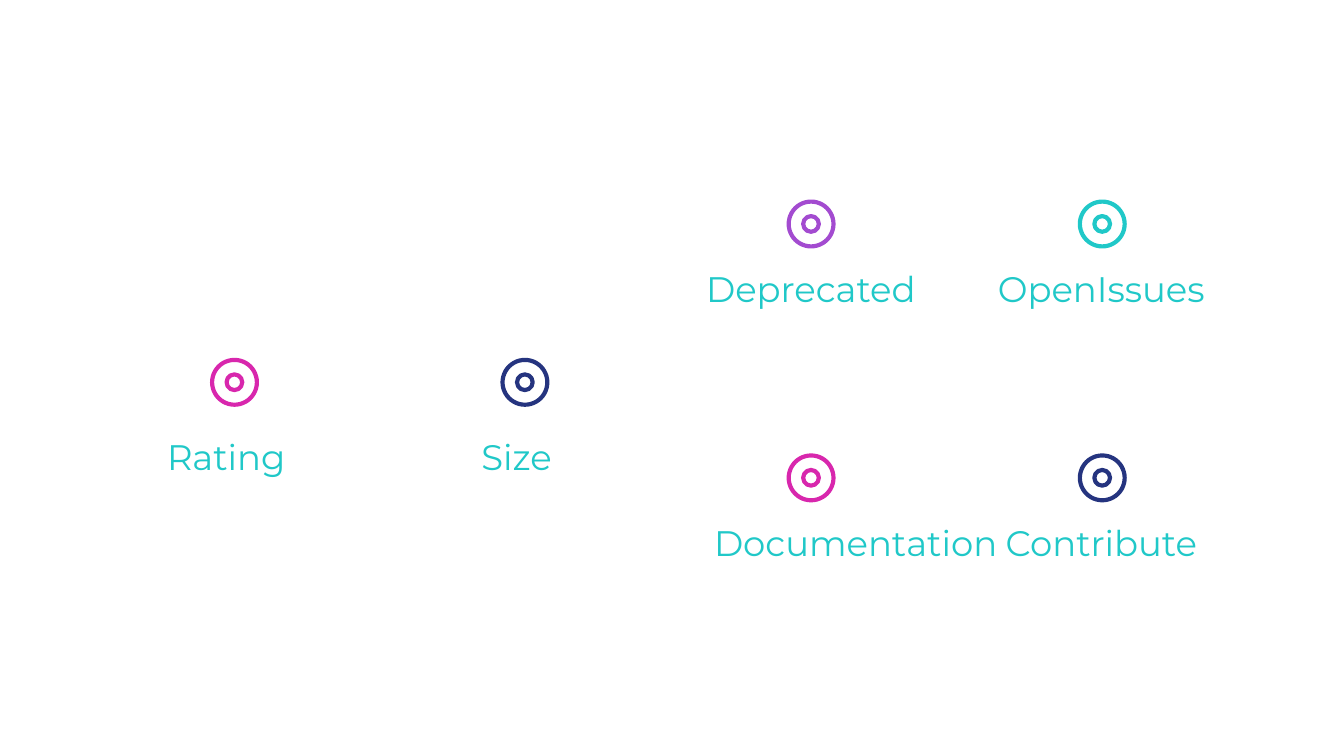
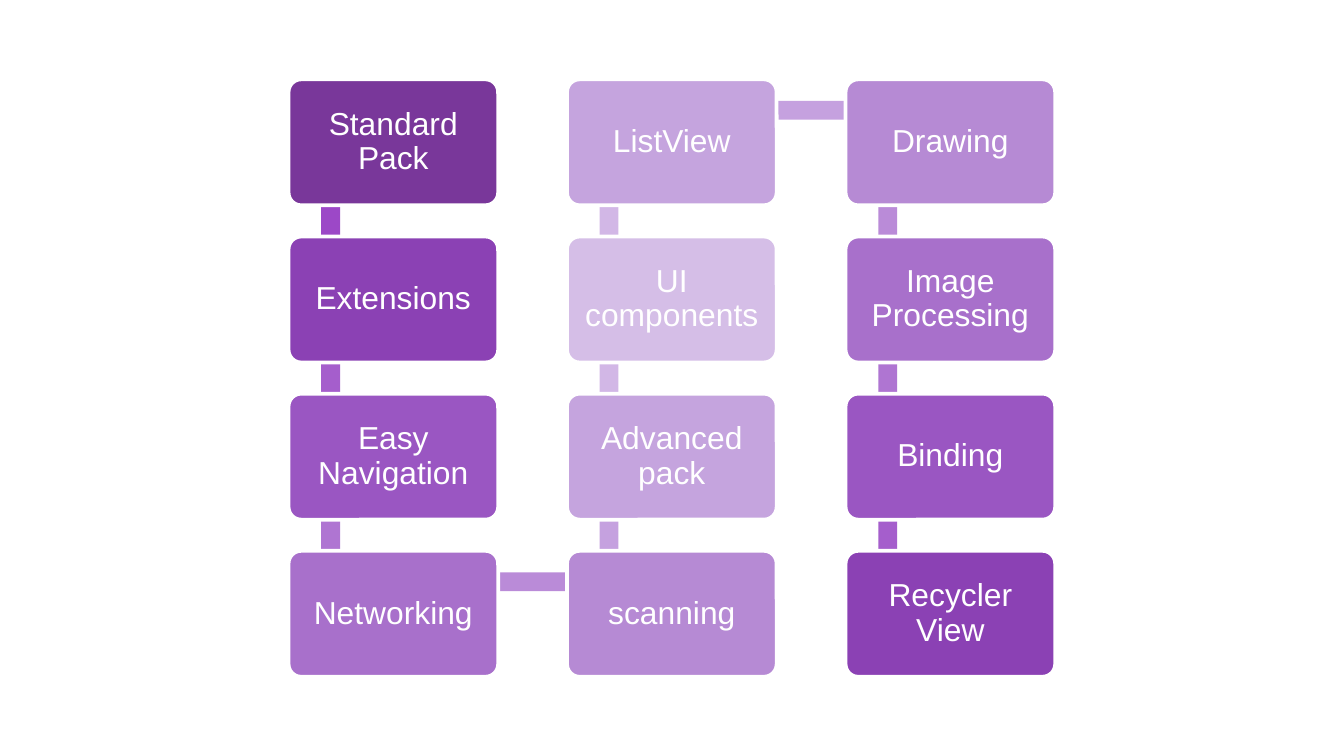
import pptx
import pptx.dml.color
import pptx.enum.shapes
import pptx.enum.text
import pptx.util

Pt = pptx.util.Pt
Shape = pptx.enum.shapes.MSO_SHAPE
Align = pptx.enum.text.PP_ALIGN
Anchor = pptx.enum.text.MSO_ANCHOR

WHITE = "FFFFFF"
TEAL = "20C8C8"
PURPLE = "A34BD0"
PINK = "D827AD"
NAVY = "25347F"

LABEL_FORMAT = {"line_spacing": 1.15, "space_after": Pt(16)}
LABEL_FONT = {"name": "Montserrat", "size": Pt(19)}
CARD_FORMAT = {"line_spacing": 0.9}
CARD_FONT = {"name": "Arial", "size": Pt(17)}

# text, ring colour, ring centre x and y, label left, top and width
TOPICS = [
    ("Documentation", PINK, 434.5, 256, 374.4, 275.8, 168),
    ("Contribute", NAVY, 590.5, 256, 530, 275.8, 120),
    ("Deprecated", PURPLE, 434.5, 120, 374.4, 139.8, 120),
    ("OpenIssues", TEAL, 590.5, 120, 530, 139.8, 120),
    ("Rating", PINK, 125.6, 204.8, 61.2, 229.7, 120),
    ("Size", NAVY, 281.2, 204.8, 216.8, 229.7, 120),
]

# text, card colour, colour of the link to the next card
STEPS = [
    ("Standard Pack", "79379A", "9C48C7"),
    ("Extensions", "8B41B4", "A55ECC"),
    ("Easy Navigation", "9A56C2", "AF75D2"),
    ("Networking", "A870CB", "BA8BD8"),
    ("scanning", "B68AD4", "C5A1DF"),
    ("Advanced pack", "C5A4DE", "D2B7E6"),
    ("UI components", "D5BEE7", "D2B7E6"),
    ("ListView", "C5A4DE", "C5A1DF"),
    ("Drawing", "B68AD4", "BA8BD8"),
    ("Image Processing", "A870CB", "AF75D2"),
    ("Binding", "9A56C2", "A55ECC"),
    ("Recycler View", "8B41B4", None),
]
ROWS = 4
GRID_LEFT, GRID_TOP = 154.6, 42.5
COLUMN_STEP, ROW_STEP = 149.2, 84.2
CARD_WIDTH, CARD_HEIGHT = 112.3, 67.5
LINK_THICKNESS = 10.1


def color(hex_string):
    return pptx.dml.color.RGBColor.from_string(hex_string)


def apply(target, values):
    for name, value in values.items():
        setattr(target, name, value)


def add_shape(shapes, kind, left, top, width, height, fill=None, line=None, weight=2):
    shape = shapes.add_shape(kind, Pt(left), Pt(top), Pt(width), Pt(height))
    shape.shadow.inherit = False
    if fill:
        shape.fill.solid()
        shape.fill.fore_color.rgb = color(fill)
    else:
        shape.fill.background()
    if line:
        shape.line.color.rgb = color(line)
        shape.line.width = Pt(weight)
    else:
        shape.line.fill.background()
    return shape


def write(shape, text, text_color, paragraph_format, font_format, inset, anchor):
    frame = shape.text_frame
    apply(frame, {"word_wrap": True, "vertical_anchor": anchor})
    for side in ("left", "top", "right", "bottom"):
        setattr(frame, f"margin_{side}", Pt(inset))
    paragraph = frame.paragraphs[0]
    paragraph.alignment = Align.CENTER
    apply(paragraph, paragraph_format)
    run = paragraph.add_run()
    run.text = text
    apply(run.font, font_format)
    run.font.color.rgb = color(text_color)


def add_label(slide, text, left, top, width):
    box = slide.shapes.add_textbox(Pt(left), Pt(top), Pt(width), Pt(28))
    write(box, text, TEAL, LABEL_FORMAT, LABEL_FONT, 0, Anchor.TOP)


def add_ring_marker(slide, center_x, center_y, ring_color):
    group = slide.shapes.add_group_shape()
    for size in (24, 8.4):
        add_shape(group.shapes, Shape.OVAL, center_x - size / 2, center_y - size / 2,
                  size, size, line=ring_color, weight=2.25)


def snake_cell(index):
    """Return column and row on a path that runs down, up, then down again."""
    column, row = divmod(index, ROWS)
    return column, row if column % 2 == 0 else ROWS - 1 - row


def card_corner(index):
    column, row = snake_cell(index)
    return GRID_LEFT + column * COLUMN_STEP, GRID_TOP + row * ROW_STEP


def add_link(slide, index, fill):
    """Draw the bar from one card to the next; the cards cover its ends."""
    left, top = card_corner(index)
    next_left, next_top = card_corner(index + 1)
    if left == next_left:
        length, rotation = 83.5, 90 if next_top > top else 270
        center_x, center_y = left + 22.5, min(top, next_top) + 59
    else:
        length, rotation = 148.3, 0
        center_x, center_y = left + 97.3, top + 16.6
    bar = add_shape(slide.shapes, Shape.RECTANGLE, center_x - length / 2,
                    center_y - LINK_THICKNESS / 2, length, LINK_THICKNESS, fill)
    bar.rotation = rotation


def add_card(slide, index, text, fill):
    left, top = card_corner(index)
    card = add_shape(slide.shapes, Shape.ROUNDED_RECTANGLE, left, top,
                     CARD_WIDTH, CARD_HEIGHT, fill, WHITE)
    card.adjustments[0] = 0.1
    write(card, text, WHITE, CARD_FORMAT, CARD_FONT, 5, Anchor.MIDDLE)


def build_topics(slide):
    for text, ring_color, center_x, center_y, left, top, width in TOPICS:
        add_label(slide, text, left, top, width)
        add_ring_marker(slide, center_x, center_y, ring_color)


def build_steps(slide):
    for index, (text, fill, link_fill) in enumerate(STEPS):
        if link_fill:
            add_link(slide, index, link_fill)
        add_card(slide, index, text, fill)


def main():
    presentation = pptx.Presentation()
    presentation.slide_width, presentation.slide_height = Pt(720), Pt(405)
    blank_layout = presentation.slide_layouts[6]
    for build in (build_topics, build_steps):
        build(presentation.slides.add_slide(blank_layout))
    presentation.save("out.pptx")


if __name__ == "__main__":
    main()
